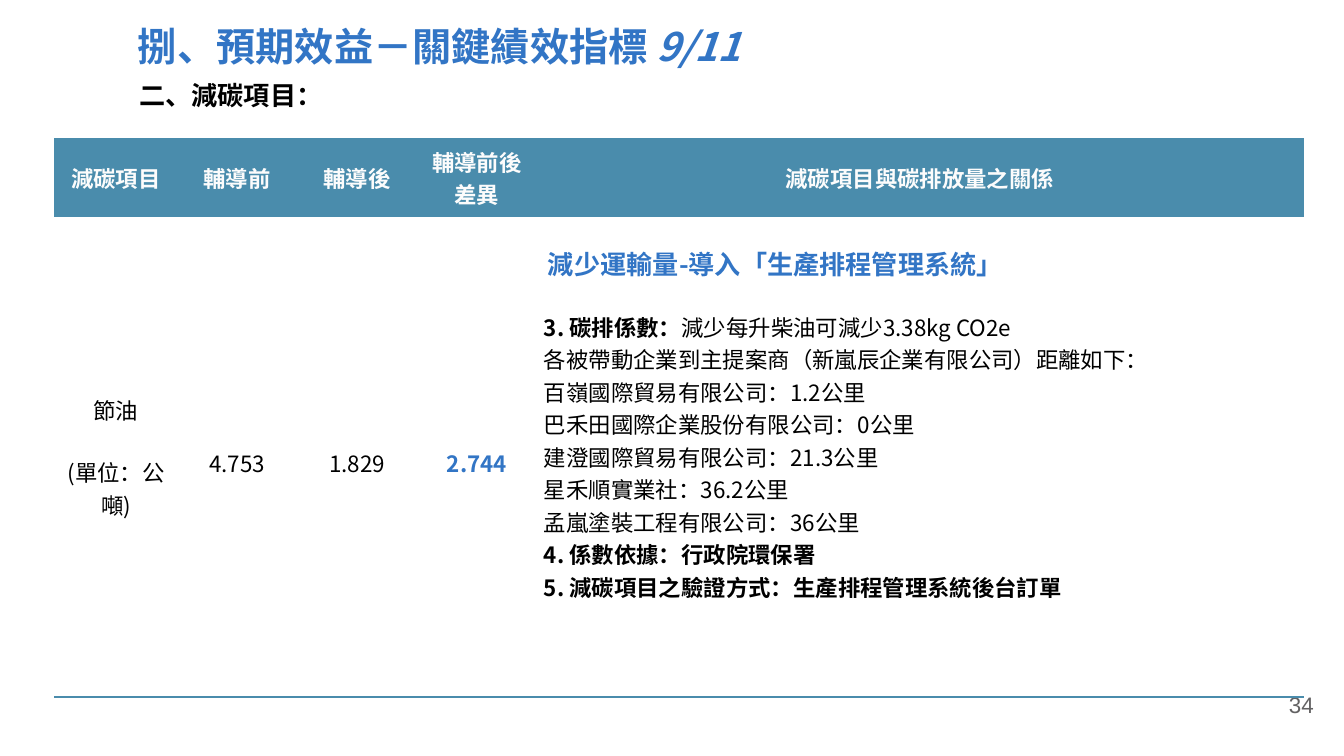
"""Build the carbon reduction slide with its indicator table."""
import pptx
import pptx.util
import pptx.dml.color
import pptx.enum.text
import lxml.etree

PX = 914400 / 134.4
HUE = {"blue": "3275C5", "teal": "4A8CAC", "pale": "FCFCFC", "ink": "000000", "gray": "636263"}
SANS = "Noto Sans CJK SC"
NS = "{http://schemas.openxmlformats.org/drawingml/2006/main}"
ALIGN = pptx.enum.text.PP_ALIGN
MID = pptx.enum.text.MSO_ANCHOR.MIDDLE


def px(num):
    return pptx.util.Emu(round(num * PX))


def write(para, text, size=12, hue="ink", face=SANS, **form):
    run = para.add_run()
    run.text = text
    form = {"size": pptx.util.Pt(size), "name": face, "bold": False, **form}
    for key, val in form.items():
        setattr(run.font, key, val)
    run.font.color.rgb = pptx.dml.color.RGBColor.from_string(HUE[hue])
    lxml.etree.SubElement(run.font._element, NS + "ea", typeface=face)


deck = pptx.Presentation()
deck.slide_width, deck.slide_height = px(1344), px(756)
slide = deck.slides.add_slide(deck.slide_layouts[5])

title = slide.shapes.title
place = {"left": px(-1), "top": px(-3), "width": px(859), "height": px(98)}
for key, val in place.items():
    setattr(title, key, val)
frame = title.text_frame
form = {"auto_size": pptx.enum.text.MSO_AUTO_SIZE.NONE, "word_wrap": True,
        "vertical_anchor": MID, "margin_left": px(139)}
for key, val in form.items():
    setattr(frame, key, val)
head = frame.paragraphs[0]
head.alignment = ALIGN.LEFT
write(head, "捌、預期效益－關鍵績效指標 ", 21, "blue", bold=True)
write(head, "9/11", 21, "blue", bold=True, italic=True)

notes = [
    ((126, 73, 386, 50), "二、減碳項目：", 14, "ink", SANS, True, ALIGN.LEFT),
    ((1257, 685, 70, 56), "34", 12, "gray", "Arial", False, ALIGN.RIGHT),
]
for spot, text, size, hue, face, bold, align in notes:
    box = slide.shapes.add_textbox(*map(px, spot))
    box.text_frame.word_wrap = True
    para = box.text_frame.paragraphs[0]
    para.alignment = align
    write(para, text, size, hue, face, bold=bold)

wide = [124, 118, 122, 118, 768]
tall = [79, 480]
grid = slide.shapes.add_table(2, 5, px(54), px(138), px(sum(wide)), px(sum(tall))).table
grid.first_row = grid.horz_banding = False
grid._tbl.tblPr.find(NS + "tableStyleId").text = "{2D5ABB26-0587-4C30-8999-92F81FD0307C}"
for col, size in zip(grid.columns, wide):
    col.width = px(size)
for row, size in zip(grid.rows, tall):
    row.height = px(size)

for cell in grid.iter_cells():
    form = {"margin_left": px(8), "margin_right": px(8), "margin_top": px(7),
            "margin_bottom": px(7), "vertical_anchor": MID}
    for key, val in form.items():
        setattr(cell, key, val)
    cell.text_frame.paragraphs[0].alignment = ALIGN.CENTER

heads = ["減碳項目", "輔導前", "輔導後", "輔導前後差異", "減碳項目與碳排放量之關係"]
for num, text in enumerate(heads):
    cell = grid.cell(0, num)
    cell.fill.solid()
    cell.fill.fore_color.rgb = pptx.dml.color.RGBColor.from_string(HUE["teal"])
    write(cell.text_frame.paragraphs[0], text, hue="pale", bold=True)
    base = grid.cell(1, num)
    base.fill.background()
    line = lxml.etree.Element(NS + "lnB", w="12700")
    fill = lxml.etree.SubElement(line, NS + "solidFill")
    lxml.etree.SubElement(fill, NS + "srgbClr", val=HUE["teal"])
    base._tc.tcPr.insert(0, line)

frame = grid.cell(1, 0).text_frame
para = frame.paragraphs[0]
para.space_after = pptx.util.Pt(16)
write(para, "節油")
para = frame.add_paragraph()
para.alignment = ALIGN.CENTER
write(para, "(單位：公噸)")

marks = [("4.753", "ink", False), ("1.829", "ink", False), ("2.744", "blue", True)]
for num, (text, hue, bold) in enumerate(marks, 1):
    para = grid.cell(1, num).text_frame.paragraphs[0]
    para.line_spacing = 1.36
    write(para, text, hue=hue, bold=bold)

cell = grid.cell(1, 4)
cell.vertical_anchor = pptx.enum.text.MSO_ANCHOR.TOP
cell.margin_top = px(32)
para = cell.text_frame.paragraphs[0]
para.alignment = ALIGN.JUSTIFY
para.line_spacing = 0.83
para.space_after = pptx.util.Pt(16)
para._p.get_or_add_pPr().set("marL", str(px(4)))
write(para, "減少運輸量-導入「生產排程管理系統」", 14, "blue", bold=True)

facts = [
    ("3. 碳排係數：", "減少每升柴油可減少3.38kg CO2e"),
    ("", "各被帶動企業到主提案商（新嵐辰企業有限公司）距離如下："),
    ("", "百嶺國際貿易有限公司：1.2公里"),
    ("", "巴禾田國際企業股份有限公司：0公里"),
    ("", "建澄國際貿易有限公司：21.3公里"),
    ("", "星禾順實業社：36.2公里"),
    ("", "孟嵐塗裝工程有限公司：36公里"),
    ("4. 係數依據：行政院環保署", ""),
    ("5. 減碳項目之驗證方式：生產排程管理系統後台訂單", ""),
]
for lead, rest in facts:
    para = cell.text_frame.add_paragraph()
    para.alignment = ALIGN.JUSTIFY
    for text, bold in ((lead, True), (rest, False)):
        if text:
            write(para, text, bold=bold)

deck.save("out.pptx")
